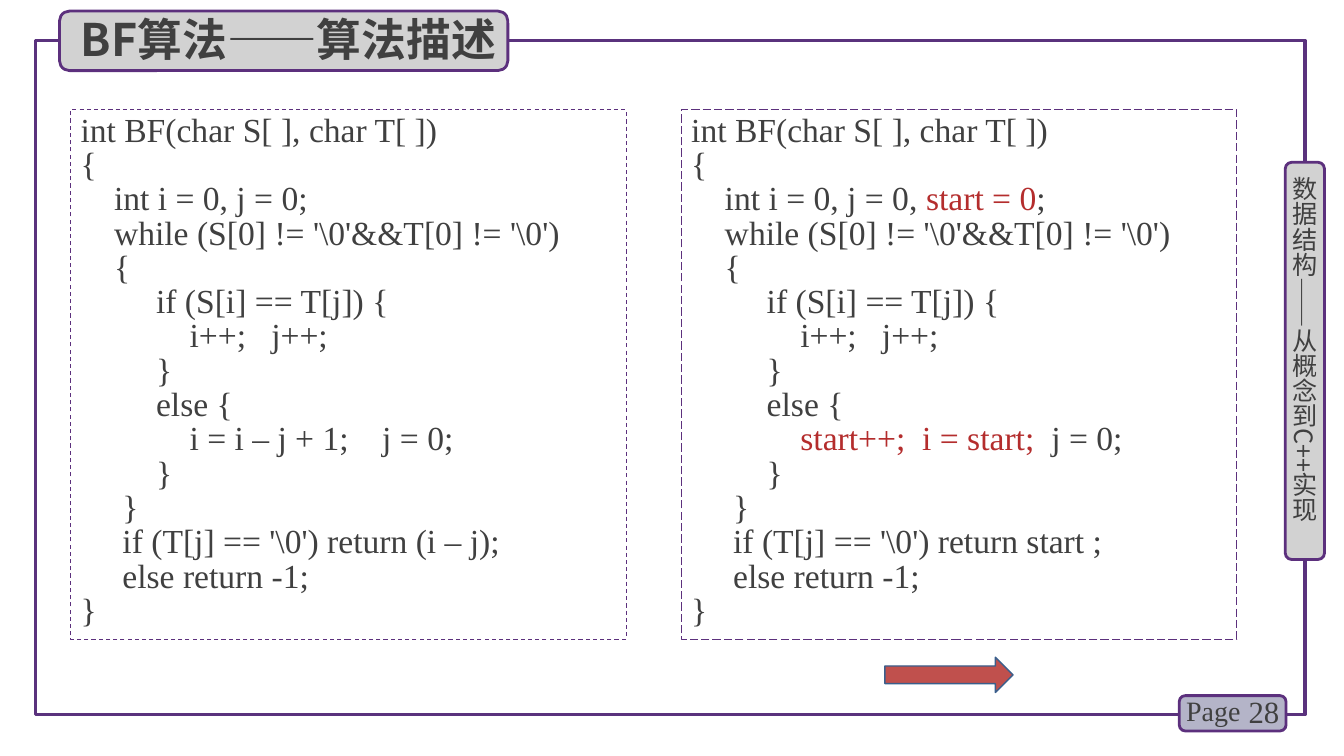
"""Build the slide that compares two versions of the BF matching algorithm."""
from pptx import Presentation
from pptx.dml.color import RGBColor
from pptx.enum import dml, shapes, text
from pptx.oxml import ns
from pptx.util import Cm, Pt
from lxml import etree

PURPLE = RGBColor(0x5C, 0x30, 0x7D)
FRAME_PURPLE = RGBColor(0x5A, 0x32, 0x7D)
GREY = RGBColor(0xD2, 0xD2, 0xD2)
LILAC = RGBColor(0xB4, 0xB4, 0xC8)
INK = RGBColor(0x40, 0x40, 0x40)
RED = RGBColor(0xB4, 0x2D, 0x2D)
ARROW_RED = RGBColor(0xC0, 0x50, 0x4D)
ARROW_BLUE = RGBColor(0x3A, 0x5F, 0x8C)
SERIF = "Times New Roman"
SANS = "Noto Sans CJK SC"

CODE = r"""int BF(char S[ ], char T[ ])
{
    int i = 0, j = 0{init};
    while (S[0] != '\0'&&T[0] != '\0')
    {
         if (S[i] == T[j]) {
             i++;   j++;
         }
         else {
             {restart}j = 0;
         }
     }
     if (T[j] == '\0') return {result};
     else return -1;
}"""


def fill_in(init, restart, result):
    """Return the listing with its three varying parts; | encloses red code."""
    return (CODE.replace("{init}", init).replace("{restart}", restart)
            .replace("{result}", result))


def write(shape, content, *, size, font=SERIF, bold=False, spacing=None,
          align=text.PP_ALIGN.LEFT, anchor=text.MSO_ANCHOR.TOP):
    """Write lines of text into a shape, with |marked| parts in red."""
    frame = shape.text_frame
    frame.word_wrap = True
    frame.auto_size = text.MSO_AUTO_SIZE.NONE
    frame.vertical_anchor = anchor
    for number, line in enumerate(content.split("\n")):
        paragraph = frame.add_paragraph() if number else frame.paragraphs[0]
        paragraph.alignment = align
        paragraph.line_spacing = spacing
        for part, words in enumerate(line.split("|")):
            run = paragraph.add_run()
            run.text = words
            run.font.size = Pt(size)
            run.font.bold = bold
            run.font.color.rgb = RED if part % 2 else INK
            run.font.name = font
            east_asian = etree.SubElement(run.font._element, ns.qn("a:ea"))
            east_asian.set("typeface", font)


def add_box(slide, kind, place, line, width, fill=None, dash=None):
    """Add an outlined preset shape without shadow."""
    box = slide.shapes.add_shape(kind, *map(Cm, place))
    box.shadow.inherit = False
    if fill is None:
        box.fill.background()
    else:
        box.fill.solid()
        box.fill.fore_color.rgb = fill
    box.line.color.rgb = line
    box.line.width = Pt(width)
    if dash is not None:
        box.line.dash_style = dash
    return box


def add_label(slide, place, content, **style):
    """Add a text box."""
    label = slide.shapes.add_textbox(*map(Cm, place))
    write(label, content, **style)
    return label


def add_tab(slide, place, fill):
    """Add a rounded tab that sits on the page frame."""
    add_box(slide, shapes.MSO_SHAPE.ROUNDED_RECTANGLE, place, PURPLE, 2, fill)


def add_page_frame(slide):
    """Add the frame, the page number and the vertical book title."""
    add_box(slide, shapes.MSO_SHAPE.RECTANGLE, (0.89, 1.02, 32, 16.99),
            FRAME_PURPLE, 2.25)
    add_tab(slide, (29.72, 17.53, 2.69, 0.89), LILAC)
    add_label(slide, (30.99, 17.42, 1.5, 1.02), "28", size=22,
              align=text.PP_ALIGN.RIGHT, anchor=text.MSO_ANCHOR.MIDDLE)
    add_label(slide, (29.64, 17.35, 1.98, 1.12), "Page", size=20)
    add_tab(slide, (32.39, 4.09, 0.99, 10.01), GREY)
    book = add_label(slide, (32.49, 4.45, 0.76, 9.6),
                     "数据结构——从概念到C++实现", size=18, font=SANS)
    frame = book.text_frame
    frame.margin_left = frame.margin_right = 0
    frame.margin_top = frame.margin_bottom = 0
    frame._txBody.bodyPr.set("vert", "eaVert")


def add_title(slide):
    """Put the title placeholder on top of its tab."""
    add_tab(slide, (1.5, 0.28, 11.3, 1.5), GREY)
    title = slide.shapes.title
    title.left, title.top, title.width, title.height = map(
        Cm, (1.78, 0.18, 11.68, 1.63))
    write(title, "BF算法——算法描述", size=32, font=SANS, bold=True)
    title.element.getparent().append(title.element)


def add_code(slide, left, dash, listing):
    """Add a dashed box with a code listing."""
    box = add_box(slide, shapes.MSO_SHAPE.RECTANGLE,
                  (left, 2.77, 14, 13.34), PURPLE, 0.75, dash=dash)
    write(box, listing, size=24, spacing=0.85, align=text.PP_ALIGN.JUSTIFY)


def main():
    """Build and save the slide."""
    deck = Presentation()
    deck.slide_width, deck.slide_height = Cm(33.87), Cm(19.05)
    slide = deck.slides.add_slide(deck.slide_layouts.get_by_name("Title Only"))
    add_page_frame(slide)
    add_title(slide)
    add_code(slide, 1.78, dml.MSO_LINE.DASH,
             fill_in("", "i = i – j + 1;    ", "(i – j)"))
    add_code(slide, 17.17, dml.MSO_LINE.LONG_DASH,
             fill_in(", |start = 0|", "|start++;  i = start;  |", "start "))
    add_box(slide, shapes.MSO_SHAPE.RIGHT_ARROW, (22.3, 16.56, 3.23, 0.89),
            ARROW_BLUE, 1, ARROW_RED)
    deck.save("out.pptx")


if __name__ == "__main__":
    main()
